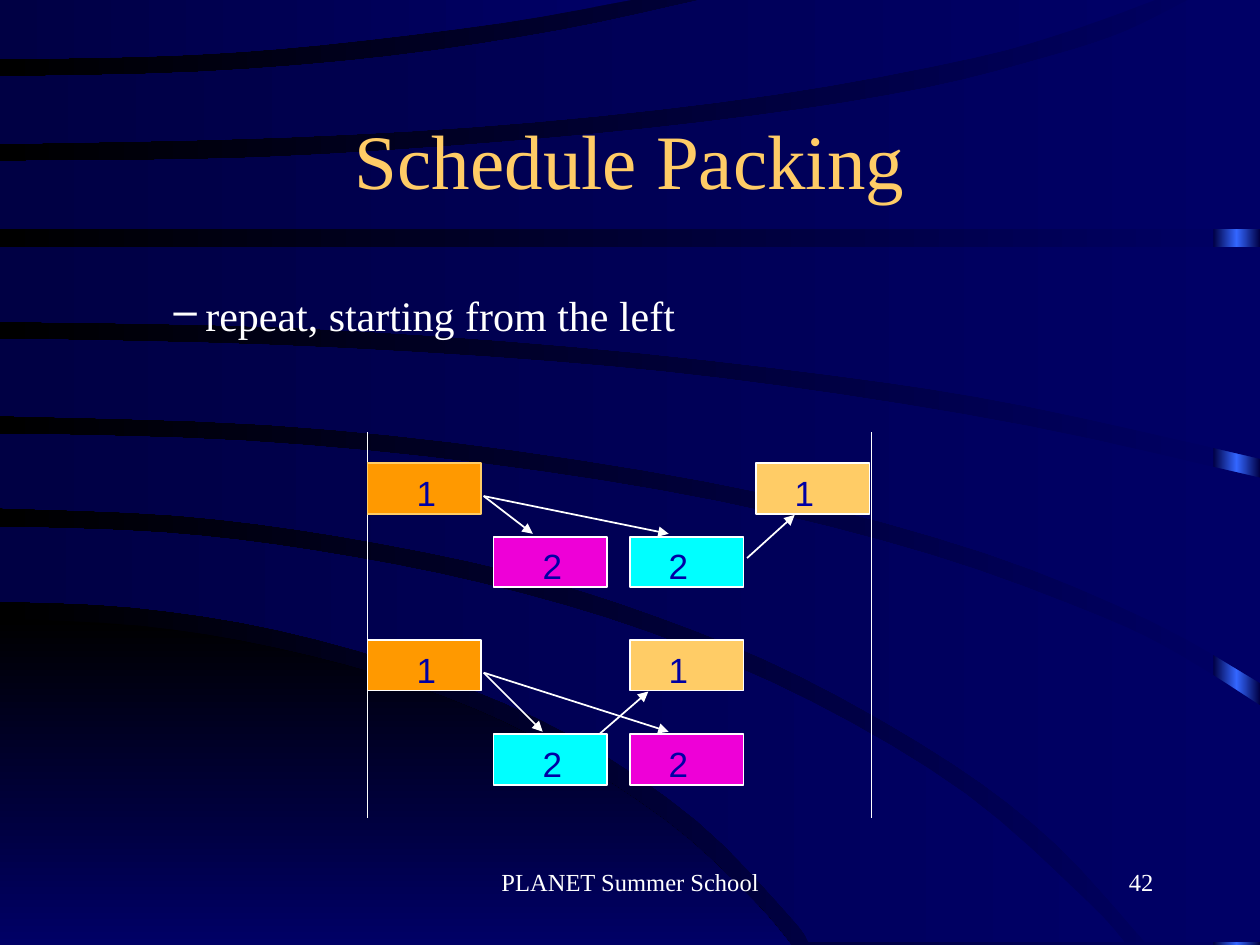
from copy import deepcopy

from lxml import etree
from pptx import Presentation
from pptx.dml.color import RGBColor
from pptx.enum.shapes import MSO_CONNECTOR, MSO_SHAPE
from pptx.enum.text import MSO_ANCHOR, PP_ALIGN
from pptx.oxml.ns import qn
from pptx.util import Cm, Pt

STRAIGHT = MSO_CONNECTOR.STRAIGHT
RECTANGLE = MSO_SHAPE.RECTANGLE
TOP, BOTTOM = MSO_ANCHOR.TOP, MSO_ANCHOR.BOTTOM
LEFT, CENTER, RIGHT = PP_ALIGN.LEFT, PP_ALIGN.CENTER, PP_ALIGN.RIGHT

WIDTH, HEIGHT = 25.4, 19.05
WHITE, NAVY, DARK_NAVY, BLACK = "FFFFFF", "000066", "000044", "000000"
ORANGE, SAND, CYAN, MAGENTA = "FF9900", "FFCC66", "00FFFF", "EE00D7"
BLUE, LABEL_BLUE = "3366FF", "0000A4"
SERIF, SANS = "Times New Roman", "Arial"

COLUMNS = (0, 2.54, 5.29, 7.83)
BOX_WIDTH, BOX_HEIGHT = 2.29, 1.02

SWOOSH = [(0, 12.47), (2.84, 12.62), (5.54, 13.06), (8.31, 13.82), (10.8, 14.88),
          (13.41, 16.54), (15.14, 18.11), (15.95, 19.05)]

BANDS = [
    ([(0, 10.62), (3.3, 10.74), (6.32, 11.1), (9.7, 11.76), (13.08, 12.75),
      (16.36, 14.15), (19.46, 16), (21.89, 18.14), (22.68, 19)], [],
     [(0, 12.12), (2.67, 12.24), (5.61, 12.7), (8.69, 13.59), (11.53, 14.83),
      (14.05, 16.54), (15.93, 18.47), (16.31, 19)]),
    ([(0, 8.74), (4.95, 8.89), (9.75, 9.35), (14.48, 10.11), (18.75, 11.18),
      (22.17, 12.42), (23.83, 13.23), (25.4, 14.22)], [(25.4, 19)],
     [(0, 10.24), (3.56, 10.39), (6.78, 10.8), (10.29, 11.51), (13.23, 12.42),
      (16.15, 13.64), (19.2, 15.39), (21.29, 17.02), (23.09, 19)]),
    ([(0, 6.83), (5.56, 6.96), (11.13, 7.29), (15.65, 7.77), (20.73, 8.59), (25.4, 9.63)], [],
     [(0, 8.38), (5.36, 8.56), (10.31, 9.07), (15.49, 9.96), (19.86, 11.15),
      (23.16, 12.5), (25.4, 13.77)]),
    ([(0, 4.98), (25.4, 4.98)], [],
     [(0, 6.48), (5.79, 6.6), (11.56, 6.99), (16.81, 7.57), (20.65, 8.18), (25.4, 9.25)]),
    ([(0, 3.25), (5.16, 3.18), (10.67, 2.82), (15.16, 2.34), (18.64, 1.78),
      (21.21, 1.12), (22.66, 0.64), (23.95, 0)], [(25.4, 0)],
     [(0, 4.62), (25.4, 4.62)]),
    ([(0, 1.55), (4.06, 1.45), (7.82, 1.14), (11.3, 0.61), (14.12, 0)], [],
     [(0, 2.9), (5.74, 2.77), (10.8, 2.46), (15.6, 1.91), (19.61, 1.17),
      (21.69, 0.58), (23.29, 0)]),
    ([(0, 0), (12.73, 0)], [],
     [(0, 1.19), (3.48, 1.12), (6.43, 0.91), (10.13, 0.46), (12.73, 0)]),
]


def colour(value):
    """Return the colour for a hex string."""
    return RGBColor.from_string(value)


def fill_gradient(fill, first, last, angle):
    """Fill with a linear gradient between two colours."""
    fill.gradient()
    fill.gradient_angle = angle
    for stop, value, position in zip(fill.gradient_stops, (first, last), (0, 1)):
        stop.color.rgb = colour(value)
        stop.position = position


def smooth_curve(points, steps=4):
    """Return points along a Catmull-Rom curve through the given points."""
    padded = [points[0], *points, points[-1]]
    curve = [points[0]]
    for before, start, end, after in zip(padded, padded[1:], padded[2:], padded[3:]):
        for step in range(1, steps + 1):
            t = step / steps
            curve.append(tuple(
                (2 * b + (c - a) * t + (2 * a - 5 * b + 4 * c - d) * t ** 2
                 + (3 * b - a - 3 * c + d) * t ** 3) / 2
                for a, b, c, d in zip(before, start, end, after)))
    return curve


def add_outline(slide, points, first, last, angle):
    """Draw a closed outline with a gradient and no line."""
    corners = [(Cm(x), Cm(y)) for x, y in points]
    builder = slide.shapes.build_freeform(*corners[0], scale=1.0)
    builder.add_line_segments(corners[1:], close=True)
    shape = builder.convert_to_shape()
    shape.shadow.inherit = False
    fill_gradient(shape.fill, first, last, angle)
    shape.line.fill.background()


def add_backdrop(slide):
    """Draw the background, the bright strip and the curved bands."""
    fill_gradient(slide.background.fill, NAVY, BLACK, 180)
    strip = slide.shapes.add_shape(RECTANGLE, Cm(24.46), 0, Cm(0.94), Cm(HEIGHT))
    strip.shadow.inherit = False
    strip.line.fill.background()
    fill_gradient(strip.fill, DARK_NAVY, BLUE, 180)
    stops = strip._element.spPr.find(qn("a:gradFill")).find(qn("a:gsLst"))
    stops.append(deepcopy(stops[0]))
    stops[1].set("pos", "50000")
    stops[2].set("pos", "100000")
    add_outline(slide, smooth_curve(SWOOSH) + [(0, HEIGHT)], BLACK, NAVY, 270)
    for upper, corners, lower in BANDS:
        outline = smooth_curve(upper) + corners + smooth_curve(lower)[::-1]
        add_outline(slide, outline, NAVY, DARK_NAVY, 180)


def add_text(slide, text, left, top, width, height, *, size, font=SERIF, color=WHITE,
             align=LEFT, anchor=TOP, bullet=None):
    """Add a one-paragraph text box."""
    frame = slide.shapes.add_textbox(Cm(left), Cm(top), Cm(width), Cm(height)).text_frame
    frame.word_wrap = True
    frame.vertical_anchor = anchor
    paragraph = frame.paragraphs[0]
    paragraph.text = text
    paragraph.alignment = align
    if bullet:
        properties = paragraph._p.get_or_add_pPr()
        properties.set("marL", str(Cm(0.97)))
        properties.set("indent", str(Cm(-0.64)))
        etree.SubElement(properties, qn("a:buChar"), char=bullet)
    run_font = paragraph.runs[0].font
    run_font.size = Pt(size)
    run_font.name = font
    run_font.color.rgb = colour(color)


def add_line(slide, start, end, arrow=False):
    """Draw a thin white line, with an arrowhead at its end if asked."""
    ends = [Cm(value) for value in (*start, *end)]
    connector = slide.shapes.add_connector(STRAIGHT, *ends)
    connector.line.color.rgb = colour(WHITE)
    connector.line.width = Pt(1)
    if arrow:
        etree.SubElement(connector.line._get_or_add_ln(), qn("a:tailEnd"), type="triangle")
    etree.SubElement(connector._element.spPr, qn("a:effectLst"))


def add_schedule(slide, left, top, row_gap, boxes, arrows):
    """Draw one schedule of numbered boxes in two rows, joined by arrows."""
    for column, row, fill, line in boxes:
        box = slide.shapes.add_shape(RECTANGLE, Cm(left + COLUMNS[column]),
                                     Cm(top + row * row_gap), Cm(BOX_WIDTH), Cm(BOX_HEIGHT))
        box.shadow.inherit = False
        box.fill.solid()
        box.fill.fore_color.rgb = colour(fill)
        box.line.color.rgb = colour(line)
        box.line.width = Pt(1)
    for start, end in arrows:
        add_line(slide, (left + start[0], top + start[1]),
                 (left + end[0], top + end[1]), arrow=True)
    for column, row, *_ in boxes:
        add_text(slide, str(row + 1), left + 0.74 + 2.54 * column,
                 top + 0.04 + row * row_gap, 0.97, 1.09,
                 size=20, font=SANS, color=LABEL_BLUE)


def add_diagram(slide, left, top, width, height):
    """Draw the two schedules between their time limits."""
    for x in (left, left + width):
        add_line(slide, (x, top), (x, top + height))
    source = (2.34, 0.66)
    add_schedule(slide, left, top + 4.19, 1.9,
                 [(0, 0, ORANGE, WHITE), (1, 1, CYAN, WHITE),
                  (2, 1, MAGENTA, WHITE), (2, 0, SAND, WHITE)],
                 [(source, (3.53, 1.85)), (source, (6.07, 1.85)), ((4.67, 1.9), (5.66, 1.04))])
    add_schedule(slide, left, top + 0.63, 1.48,
                 [(0, 0, ORANGE, SAND), (1, 1, MAGENTA, WHITE),
                  (2, 1, CYAN, WHITE), (3, 0, SAND, WHITE)],
                 [(source, (3.33, 1.42)), (source, (6.07, 1.42)), ((7.65, 1.91), (8.61, 1.04))])


def main():
    """Build and save the presentation."""
    presentation = Presentation()
    presentation.slide_width, presentation.slide_height = Cm(WIDTH), Cm(HEIGHT)
    slide = presentation.slides.add_slide(presentation.slide_layouts[6])
    add_backdrop(slide)
    add_text(slide, "Schedule Packing", 1.8, 1.07, 21.8, 3.18,
             size=44, color=SAND, align=CENTER, anchor=BOTTOM)
    add_text(slide, "repeat, starting from the left", 2.92, 5.72, 19.46, 10.26,
             size=24, bullet="–")
    add_diagram(slide, 7.41, 8.71, 10.16, 7.77)
    add_text(slide, "PLANET Summer School", 8.68, 17.35, 8.05, 1.27, size=14, align=CENTER)
    add_text(slide, "42", 18.21, 17.35, 5.29, 1.27, size=14, align=RIGHT)
    presentation.save("out.pptx")


if __name__ == "__main__":
    main()
